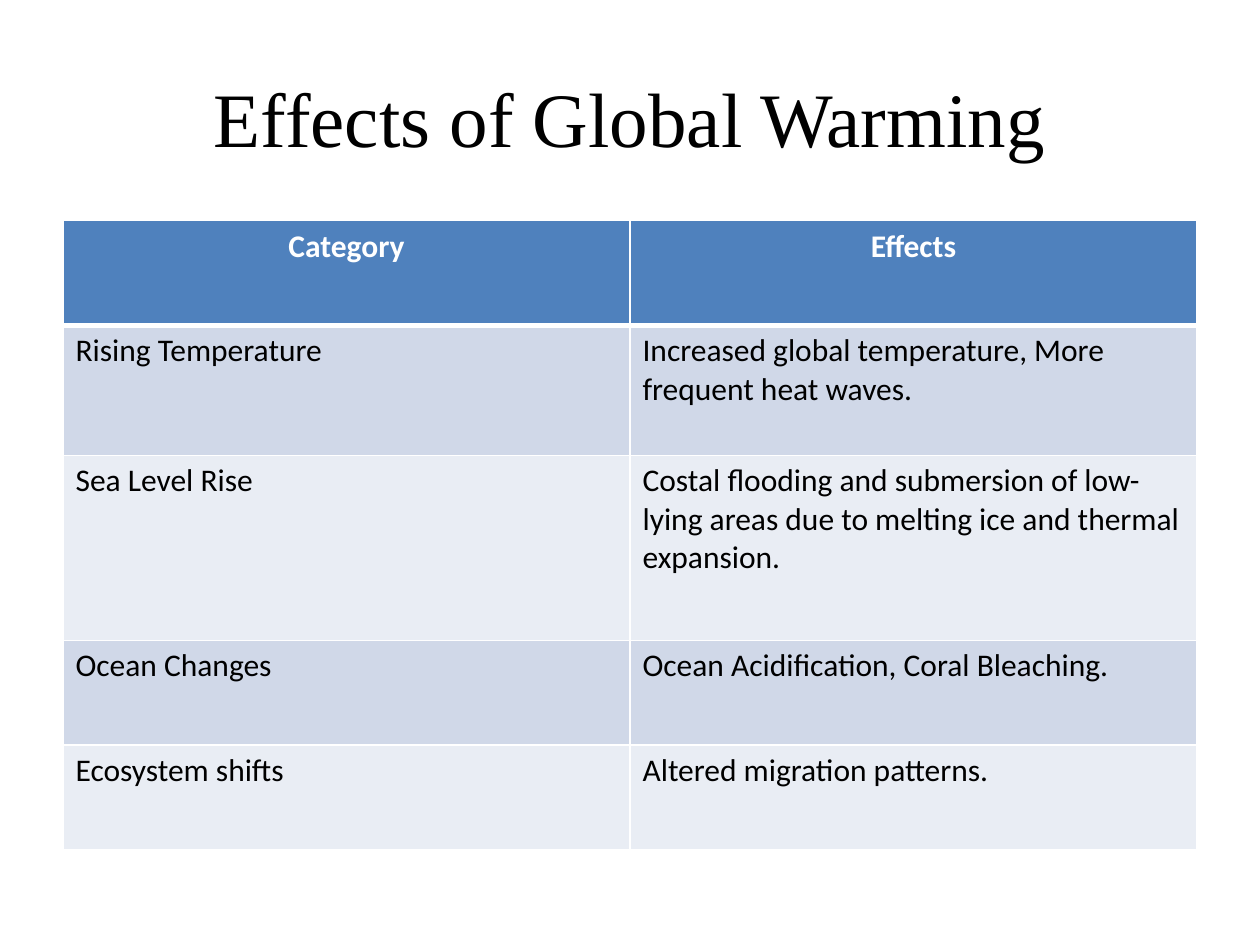
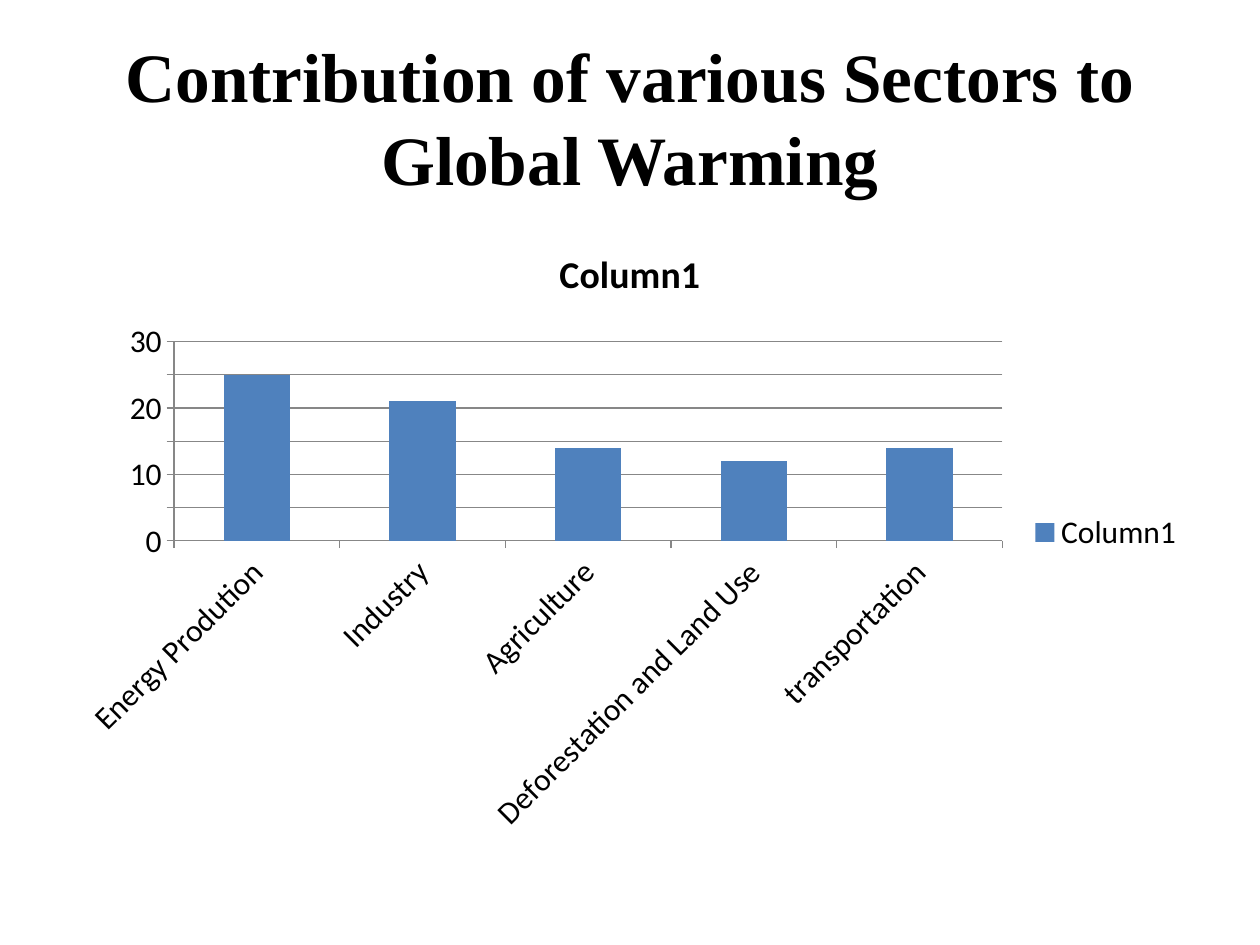
from lxml.etree import SubElement
from pptx import Presentation
from pptx.chart.data import CategoryChartData
from pptx.dml.color import RGBColor
from pptx.enum.chart import XL_CHART_TYPE as ChartType, XL_LEGEND_POSITION as LegendPos
from pptx.enum.chart import XL_TICK_MARK as Tick
from pptx.enum.text import MSO_ANCHOR as Anchor, PP_ALIGN as Align
from pptx.oxml.ns import qn
from pptx.util import Cm, Pt

COLORS = {"text": "000000", "white": "FFFFFF", "accent": "4F81BD",
          "band_dark": "D0D8E8", "band_light": "E9EDF4", "grid": "878787"}
TITLE_FONT, BODY_FONT = "Times New Roman", "Calibri"

# Boxes: left, top, width, height
TITLE_BOX = (Cm(1.27), Cm(0.76), Cm(22.86), Cm(3.18))
TABLE_BOX = (Cm(1.27), Cm(4.45), Cm(22.86), Cm(12.68))
CHART_BOX = (Cm(1.27), Cm(4.45), Cm(22.86), Cm(12.57))

ROW_HEIGHTS = (2.11, 2.62, 3.73, 2.11, 2.11)
EFFECTS = [
    ("Category", "Effects"),
    ("Rising Temperature", "Increased global temperature, More frequent heat waves."),
    ("Sea Level Rise", "Costal flooding and submersion of low-lying areas due to "
                       "melting ice and thermal expansion."),
    ("Ocean Changes", "Ocean Acidification, Coral Bleaching."),
    ("Ecosystem shifts", "Altered migration patterns."),
]
SECTORS = {"Energy Prodution": 25, "Industry": 21, "Agriculture": 14,
           "Deforestation and Land Use": 12, "transportation": 14}


def rgb(name):
    return RGBColor.from_string(COLORS[name])


def style_font(font, size, name=BODY_FONT, color="text", bold=False):
    font.size, font.name, font.bold = Pt(size), name, bold
    font.color.rgb = rgb(color)


def add_titled_slide(prs, title, size, bold=False):
    s = prs.slides.add_slide(prs.slide_layouts[5])
    sp = s.shapes.title
    sp.left, sp.top, sp.width, sp.height = TITLE_BOX
    tf = sp.text_frame
    tf.word_wrap, tf.vertical_anchor = True, Anchor.MIDDLE
    p = tf.paragraphs[0]
    p.alignment = Align.CENTER
    r = p.add_run()
    r.text = title
    style_font(r.font, size, TITLE_FONT, bold=bold)
    return s


def set_borders(cell, **widths):
    """Draw white cell edges; must run before the cell is filled."""
    tc_pr = cell._tc.get_or_add_tcPr()
    for side in "LRTB":
        ln = SubElement(tc_pr, qn(f"a:ln{side}"), w=str(Pt(widths.get(side, 1))))
        fill = SubElement(ln, qn("a:solidFill"))
        SubElement(fill, qn("a:srgbClr"), val=COLORS["white"])


def add_effects_table(s, box):
    table = s.shapes.add_table(len(EFFECTS), len(EFFECTS[0]), *box).table
    for i, (height, texts) in enumerate(zip(ROW_HEIGHTS, EFFECTS)):
        table.rows[i].height = Cm(height)
        header = i == 0
        fill = "accent" if header else "band_dark" if i % 2 else "band_light"
        for cell, text in zip(table.rows[i].cells, texts):
            set_borders(cell, T=3 if i == 1 else 1, B=3 if header else 1)
            cell.fill.solid()
            cell.fill.fore_color.rgb = rgb(fill)
            p = cell.text_frame.paragraphs[0]
            p.alignment = Align.CENTER if header else Align.LEFT
            r = p.add_run()
            r.text = text
            style_font(r.font, 18, color="white" if header else "text", bold=header)


def add_sector_chart(s, box):
    data = CategoryChartData()
    data.categories = list(SECTORS)
    data.add_series("Column1", list(SECTORS.values()))
    chart = s.shapes.add_chart(ChartType.COLUMN_CLUSTERED, *box, data).chart
    style_font(chart.font, 18)

    # Title and legend
    chart.has_title = True
    r = chart.chart_title.text_frame.paragraphs[0].add_run()
    r.text = "Column1"
    style_font(r.font, 21.6, bold=True)
    chart.has_legend = True
    chart.legend.position = LegendPos.RIGHT
    chart.legend.include_in_layout = False

    # Axes, with slanted category labels
    for axis in (chart.category_axis, chart.value_axis):
        axis.major_tick_mark, axis.minor_tick_mark = Tick.OUTSIDE, Tick.NONE
        axis.format.line.color.rgb = rgb("grid")
        style_font(axis.tick_labels.font, 18)
    labels = chart.category_axis._element.find(qn("c:txPr"))
    labels.find(qn("a:bodyPr")).set("rot", "-2700000")
    chart.value_axis.has_major_gridlines = True
    chart.value_axis.major_gridlines.format.line.color.rgb = rgb("grid")

    # Columns
    plot = chart.plots[0]
    plot.gap_width, plot.vary_by_categories = 150, False
    fill = plot.series[0].format.fill
    fill.solid()
    fill.fore_color.rgb = rgb("accent")


def main():
    prs = Presentation()
    prs.slide_width, prs.slide_height = Cm(25.4), Cm(19.05)
    add_effects_table(add_titled_slide(prs, "Effects of Global Warming", 44), TABLE_BOX)
    add_sector_chart(
        add_titled_slide(prs, "Contribution of various Sectors to Global Warming",
                         39.6, bold=True), CHART_BOX)
    prs.save("out.pptx")


if __name__ == "__main__":
    main()
